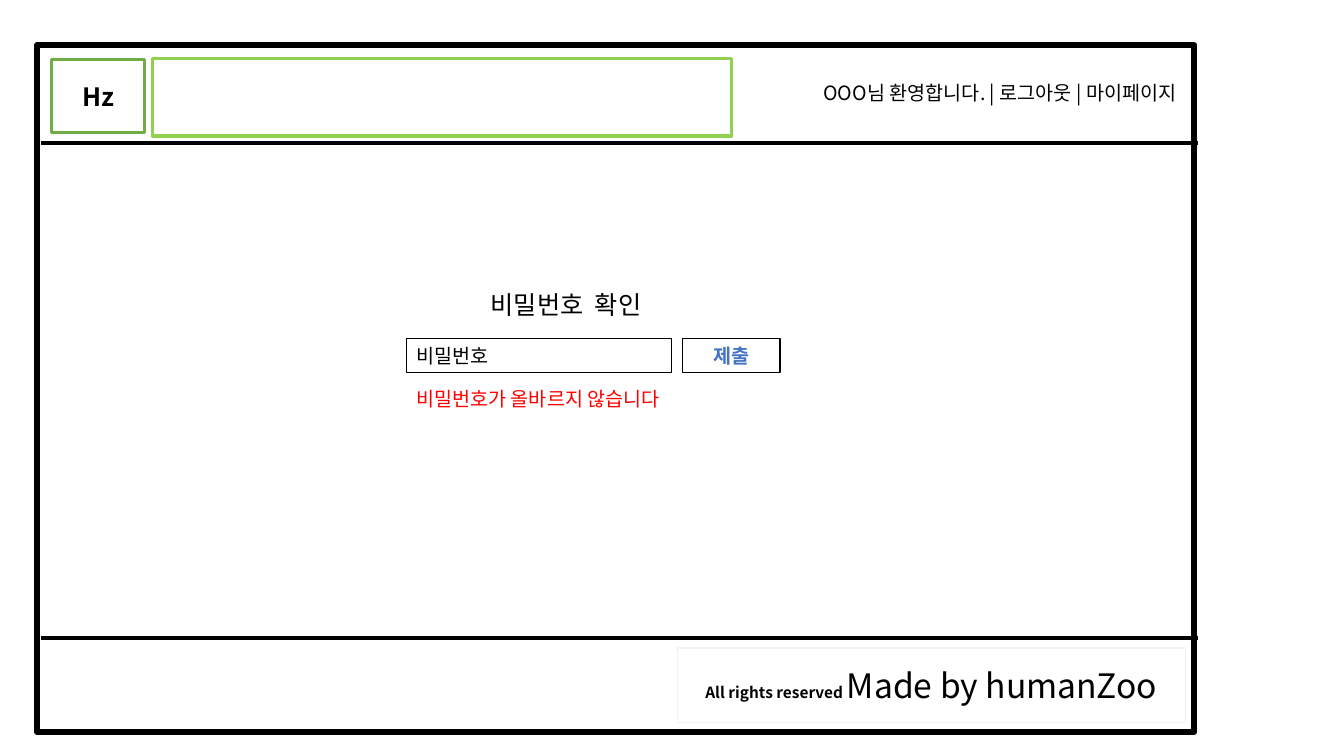
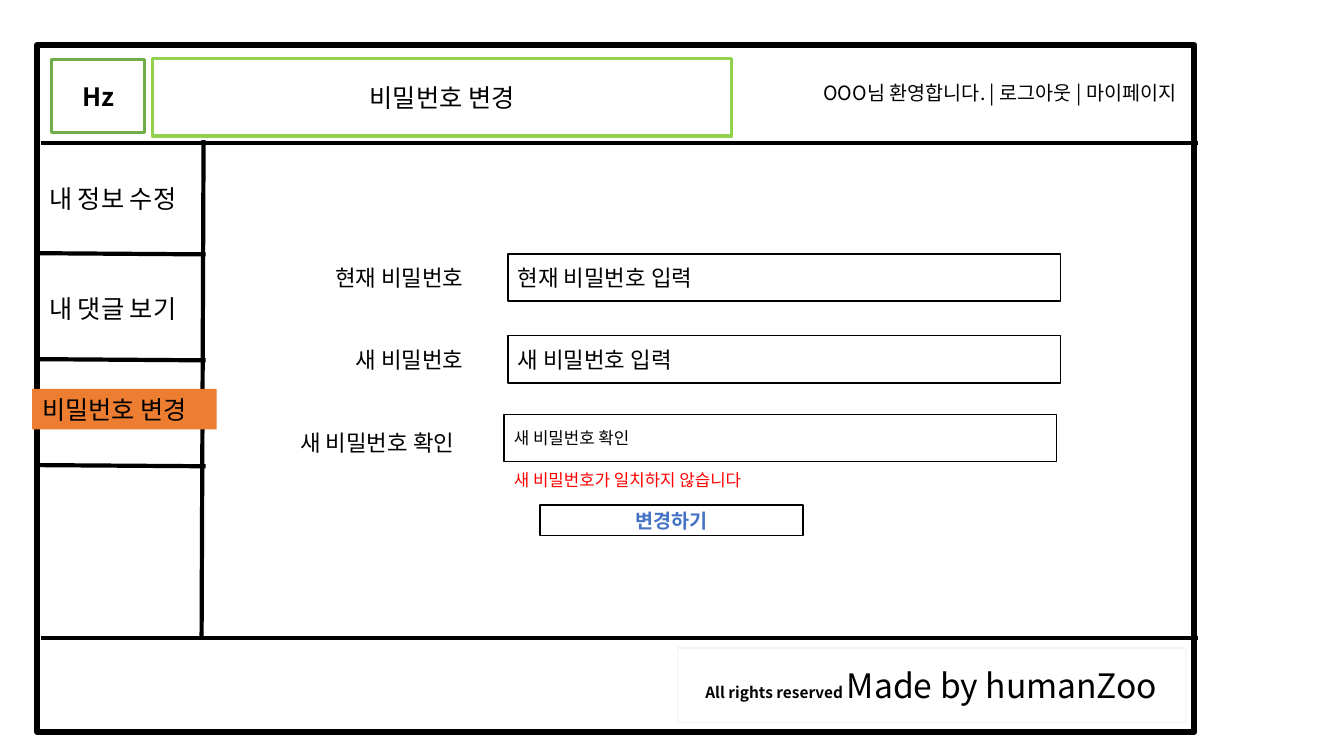
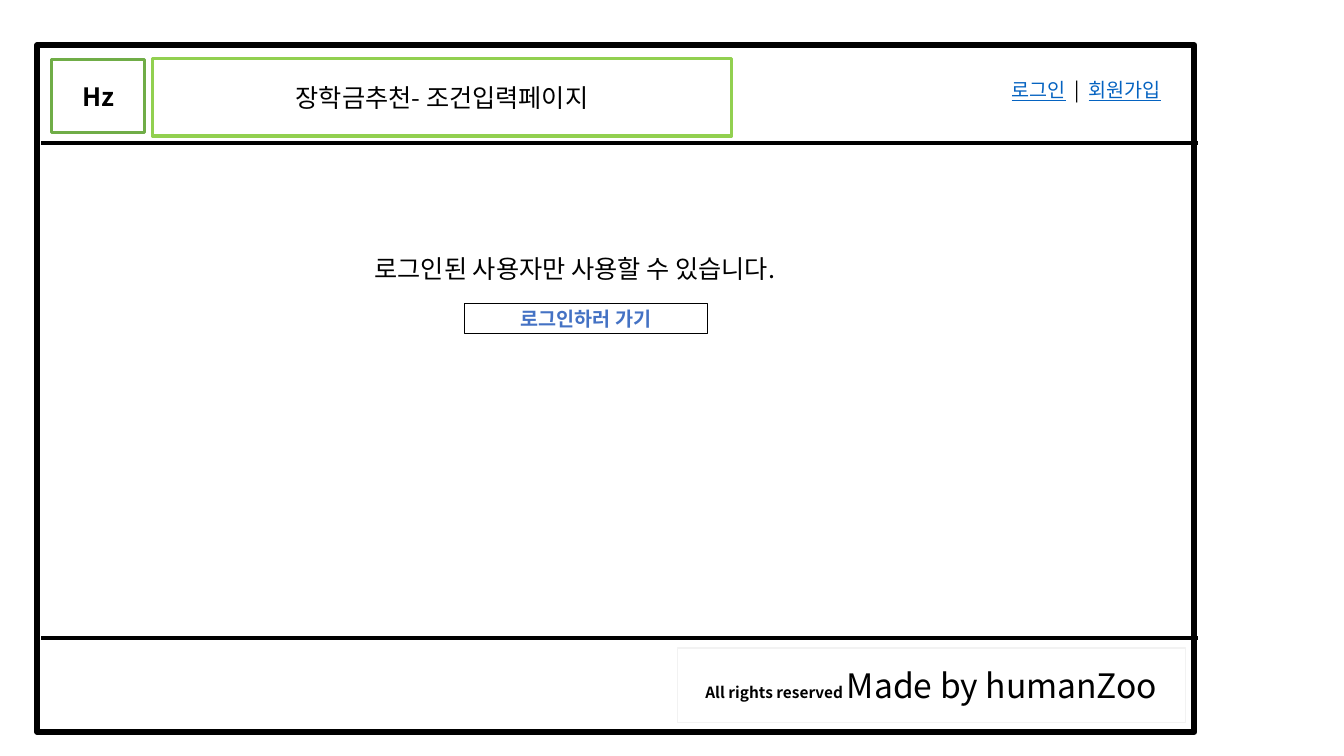
from dataclasses import dataclass

from lxml import etree
from pptx import Presentation
from pptx.dml.color import RGBColor
from pptx.enum.shapes import MSO_CONNECTOR, MSO_SHAPE
from pptx.enum.text import MSO_ANCHOR, PP_ALIGN
from pptx.oxml.ns import qn
from pptx.presentation import Presentation as Deck
from pptx.slide import Slide
from pptx.util import Cm, Pt

RECT = MSO_SHAPE.RECTANGLE
STRAIGHT = MSO_CONNECTOR.STRAIGHT
LEFT, CENTER, RIGHT = PP_ALIGN.LEFT, PP_ALIGN.CENTER, PP_ALIGN.RIGHT
TOP, MIDDLE = MSO_ANCHOR.TOP, MSO_ANCHOR.MIDDLE


@dataclass(frozen=True)
class Theme:
    font: str = "Noto Sans CJK KR"
    black: str = "000000"
    white: str = "FFFFFF"
    pale: str = "F2F2F2"
    green: str = "70AD47"
    lime: str = "92D050"
    orange: str = "ED7D31"
    blue: str = "4472C4"
    link: str = "0563C1"
    red: str = "FF0000"
    tiny: float = 11
    small: float = 12
    body: float = 14
    label: float = 16
    title: float = 18
    brand: float = 24
    thin: float = 1
    edge: float = 2.25
    rule: float = 3
    frame: float = 4.5


THEME = Theme()


@dataclass(frozen=True)
class Span:
    text: str
    size: float = THEME.body
    color: str = THEME.black
    bold: bool = False
    under: bool = False


@dataclass(frozen=True)
class Box:
    left: float
    top: float
    width: float
    height: float
    spans: tuple[Span, ...] = ()
    align: PP_ALIGN = LEFT
    anchor: MSO_ANCHOR = MIDDLE
    fill: str | None = THEME.white
    line: str | None = None
    weight: float = THEME.thin


@dataclass(frozen=True)
class Rule:
    x1: float
    y1: float
    x2: float
    y2: float


FRAME = Box(0.94, 1.14, 29.16, 17.3, line=THEME.black, weight=THEME.frame)
RULES = [Rule(1.04, y, 30.2, y) for y in (3.61, 16.08)]
FOOTER = Box(17.07, 16.33, 12.8, 1.88,
             (Span("All rights reserved ", THEME.tiny, bold=True),
              Span("Made by humanZoo", THEME.brand)),
             CENTER, line=THEME.pale)
BADGE = Box(1.3, 1.5, 2.34, 1.85, (Span("Hz", THEME.title, bold=True),),
            CENTER, line=THEME.green, weight=THEME.edge)
USER = Box(18.67, 1.47, 11.23, 1.73,
           (Span("OOO님 환영합니다. | 로그아웃 | 마이페이지"),), RIGHT)
GUEST = Box(20.52, 1.4, 8.99, 1.73,
            (Span("로그인", color=THEME.link, under=True),
             Span("  |  "),
             Span("회원가입", color=THEME.link, under=True)), RIGHT)


def draw_box(slide: Slide, box: Box) -> None:
    area = Cm(box.left), Cm(box.top), Cm(box.width), Cm(box.height)
    if box.fill is None:
        shape = slide.shapes.add_textbox(*area)
    else:
        shape = slide.shapes.add_shape(RECT, *area)
        shape.shadow.inherit = False
        shape.fill.solid()
        shape.fill.fore_color.rgb = RGBColor.from_string(box.fill)
        if box.line:
            shape.line.color.rgb = RGBColor.from_string(box.line)
            shape.line.width = Pt(box.weight)
        else:
            shape.line.fill.background()
    frame = shape.text_frame
    frame.word_wrap = True
    frame.vertical_anchor = box.anchor
    para = frame.paragraphs[0]
    para.alignment = box.align
    for span in box.spans:
        run = para.add_run()
        run.text = span.text
        font = run.font
        font.name = THEME.font
        font.size = Pt(span.size)
        font.bold = span.bold
        font.underline = span.under
        font.color.rgb = RGBColor.from_string(span.color)
        east = etree.SubElement(run._r.get_or_add_rPr(), qn("a:ea"))
        east.set("typeface", THEME.font)


def draw_rule(slide: Slide, rule: Rule) -> None:
    line = slide.shapes.add_connector(
        STRAIGHT, Cm(rule.x1), Cm(rule.y1), Cm(rule.x2), Cm(rule.y2))
    line.line.color.rgb = RGBColor.from_string(THEME.black)
    line.line.width = Pt(THEME.rule)
    etree.SubElement(line._element.spPr, qn("a:effectLst"))


def label(left: float, top: float, width: float, height: float, text: str,
          size: float = THEME.title, color: str = THEME.black,
          fill: str | None = None) -> Box:
    return Box(left, top, width, height, (Span(text, size, color),),
               anchor=TOP, fill=fill)


def field(left: float, top: float, width: float, height: float, text: str,
          size: float) -> Box:
    return Box(left, top, width, height, (Span(text, size),),
               line=THEME.black)


def button(left: float, top: float, width: float, height: float,
           text: str) -> Box:
    return Box(left, top, width, height,
               (Span(text, color=THEME.blue, bold=True),),
               CENTER, line=THEME.black)


def add_page(deck: Deck, title: str, menu: Box) -> Slide:
    slide = deck.slides.add_slide(deck.slide_layouts[6])
    draw_box(slide, FRAME)
    for rule in RULES:
        draw_rule(slide, rule)
    spans = (Span(title, THEME.title),) if title else ()
    head = Box(3.84, 1.47, 14.6, 1.96, spans, CENTER,
               line=THEME.lime, weight=THEME.edge)
    for box in (FOOTER, BADGE, menu, head):
        draw_box(slide, box)
    return slide


def add_check(deck: Deck) -> None:
    slide = add_page(deck, "", USER)
    for box in (
        field(10.24, 8.53, 6.68, 0.86, "비밀번호", THEME.body),
        label(12.12, 7.16, 4.88, 1.02, "비밀번호  확인"),
        button(17.2, 8.53, 2.46, 0.86, "제출"),
        label(10.24, 9.63, 10, 0.86, "비밀번호가 올바르지 않습니다",
              THEME.body, THEME.red),
    ):
        draw_box(slide, box)


def add_change(deck: Deck) -> None:
    slide = add_page(deck, "비밀번호 변경", USER)
    draw_rule(slide, Rule(5.13, 3.53, 5.08, 16.08))
    for row in range(3):
        y = 6.38 + 2.67 * row
        draw_rule(slide, Rule(5.18, y + 0.03, 0.99, y))
    for box in (
        label(0.99, 4.5, 4.4, 1.02, "내 정보 수정"),
        label(0.99, 7.26, 4.4, 1.02, "내 댓글 보기"),
        label(0.81, 9.8, 4.65, 1.02, "비밀번호 변경", fill=THEME.orange),
    ):
        draw_box(slide, box)
    names = ((8.2, "현재 비밀번호"), (8.71, "새 비밀번호"),
             (7.32, "새 비밀번호 확인"))
    for row, (left, text) in enumerate(names):
        draw_box(slide, label(left, 6.53 + 2.08 * row, 12.29 - left, 0.94,
                              text, THEME.label))
    for box in (
        field(12.8, 6.4, 13.92, 1.19, "현재 비밀번호 입력", THEME.label),
        field(12.8, 8.46, 13.92, 1.19, "새 비밀번호 입력", THEME.label),
        field(12.7, 10.44, 13.92, 1.19, "새 비밀번호 확인", THEME.small),
        label(12.7, 11.71, 7.06, 0.76, "새 비밀번호가 일치하지 않습니다",
              THEME.small, THEME.red),
        button(13.61, 12.73, 6.63, 0.76, "변경하기"),
    ):
        draw_box(slide, box)


def add_login(deck: Deck) -> None:
    slide = add_page(deck, "장학금추천- 조건입력페이지", GUEST)
    draw_box(slide, label(9.19, 6.27, 14.88, 1.02,
                          "로그인된 사용자만 사용할 수 있습니다."))
    draw_box(slide, button(11.71, 7.65, 6.12, 0.76, "로그인하러 가기"))


def main() -> None:
    deck = Presentation()
    deck.slide_width, deck.slide_height = Cm(33.87), Cm(19.05)
    add_check(deck)
    add_change(deck)
    add_login(deck)
    deck.save("out.pptx")


if __name__ == "__main__":
    main()
